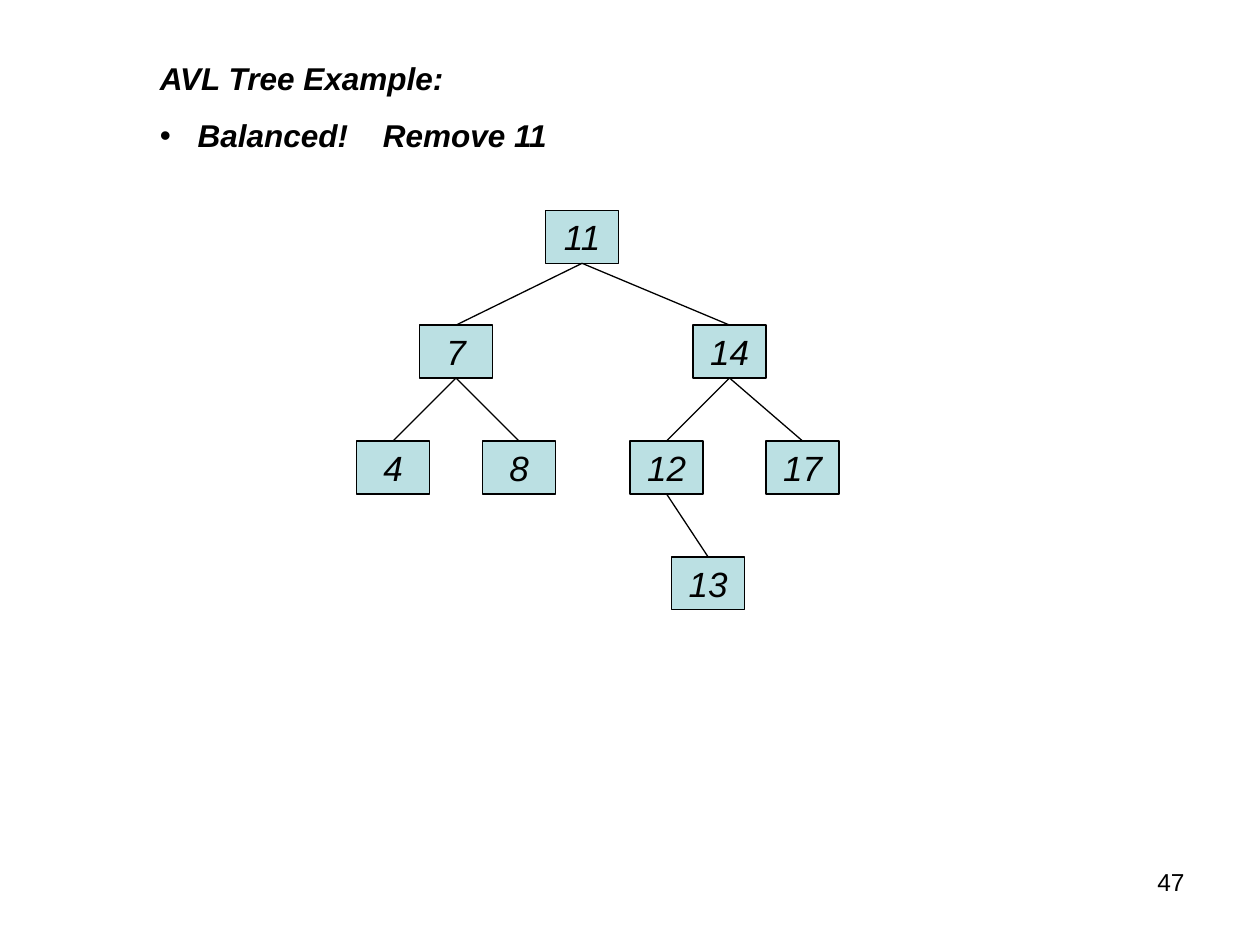
from lxml.etree import SubElement
from pptx import Presentation
from pptx.dml.color import RGBColor
from pptx.enum.shapes import MSO_CONNECTOR, MSO_SHAPE
from pptx.enum.text import MSO_ANCHOR, PP_ALIGN
from pptx.oxml.ns import qn
from pptx.util import Inches, Pt

FONT = "Arial"
BLACK = "000000"
NODE_FILL = "BBE0E3"
NODE_WIDTH, NODE_HEIGHT = 0.58, 0.42
LEVEL_TOPS = [1.67, 2.58, 3.5, 4.42]
BOTTOM, TOP = 2, 0

# key: (left, level, parent key)
TREE = {
    11: (4.33, 0, None),
    7: (3.33, 1, 11),
    14: (5.5, 1, 11),
    4: (2.83, 2, 7),
    8: (3.83, 2, 7),
    12: (5, 2, 14),
    17: (6.08, 2, 14),
    13: (5.33, 3, 12),
}


def color(hex_value):
    return RGBColor.from_string(hex_value)


def add_run(paragraph, text, size, bold=False, italic=False):
    run = paragraph.add_run()
    run.text = text
    run.font.name = FONT
    run.font.size = Pt(size)
    run.font.bold = bold
    run.font.italic = italic
    run.font.color.rgb = color(BLACK)


def add_text_box(slide, left, top, width, height):
    box = slide.shapes.add_textbox(Inches(left), Inches(top), Inches(width), Inches(height))
    box.text_frame.word_wrap = True
    return box.text_frame


def set_bullet(paragraph, indent, tab):
    """Give the paragraph a hanging bullet and one left tab stop."""
    properties = paragraph._p.get_or_add_pPr()
    properties.set("marL", str(Inches(indent)))
    properties.set("indent", str(-Inches(indent)))
    SubElement(properties, qn("a:buFont"), typeface=FONT)
    SubElement(properties, qn("a:buChar"), char="•")
    tabs = SubElement(properties, qn("a:tabLst"))
    SubElement(tabs, qn("a:tab"), pos=str(Inches(tab)), algn="l")


def add_heading(slide):
    frame = add_text_box(slide, 1.17, 0.42, 7.83, 0.86)
    add_run(frame.paragraphs[0], "AVL Tree Example:", 18, bold=True, italic=True)
    bullet = frame.add_paragraph()
    set_bullet(bullet, indent=0.3, tab=1.77)
    bullet.space_before = Pt(11.2)
    add_run(bullet, "Balanced!\tRemove 11", 18, bold=True, italic=True)


def add_node(slide, key, left, level):
    node = slide.shapes.add_shape(
        MSO_SHAPE.RECTANGLE, Inches(left), Inches(LEVEL_TOPS[level]),
        Inches(NODE_WIDTH), Inches(NODE_HEIGHT))
    node.shadow.inherit = False
    node.fill.solid()
    node.fill.fore_color.rgb = color(NODE_FILL)
    node.line.color.rgb = color(BLACK)
    node.line.width = Pt(0.75)
    frame = node.text_frame
    frame.word_wrap = False
    frame.vertical_anchor = MSO_ANCHOR.MIDDLE
    paragraph = frame.paragraphs[0]
    paragraph.alignment = PP_ALIGN.CENTER
    add_run(paragraph, str(key), 20, italic=True)
    return node


def add_edge(slide, parent, child):
    edge = slide.shapes.add_connector(MSO_CONNECTOR.STRAIGHT, 0, 0, 0, 0)
    edge.begin_connect(parent, BOTTOM)
    edge.end_connect(child, TOP)
    edge.line.color.rgb = color(BLACK)
    edge.line.width = Pt(0.75)
    SubElement(edge._element.spPr, qn("a:effectLst"))


def add_tree(slide):
    nodes = {}
    for key, (left, level, parent) in TREE.items():
        nodes[key] = add_node(slide, key, left, level)
        if parent is not None:
            add_edge(slide, nodes[parent], nodes[key])


def add_page_number(slide, number):
    paragraph = add_text_box(slide, 7.17, 6.83, 2.33, 0.52).paragraphs[0]
    paragraph.alignment = PP_ALIGN.RIGHT
    add_run(paragraph, str(number), 14)


def main():
    presentation = Presentation()
    presentation.slide_width = Inches(10)
    presentation.slide_height = Inches(7.5)
    slide = presentation.slides.add_slide(presentation.slide_layouts[6])
    add_heading(slide)
    add_tree(slide)
    add_page_number(slide, 47)
    presentation.save("out.pptx")


if __name__ == "__main__":
    main()
